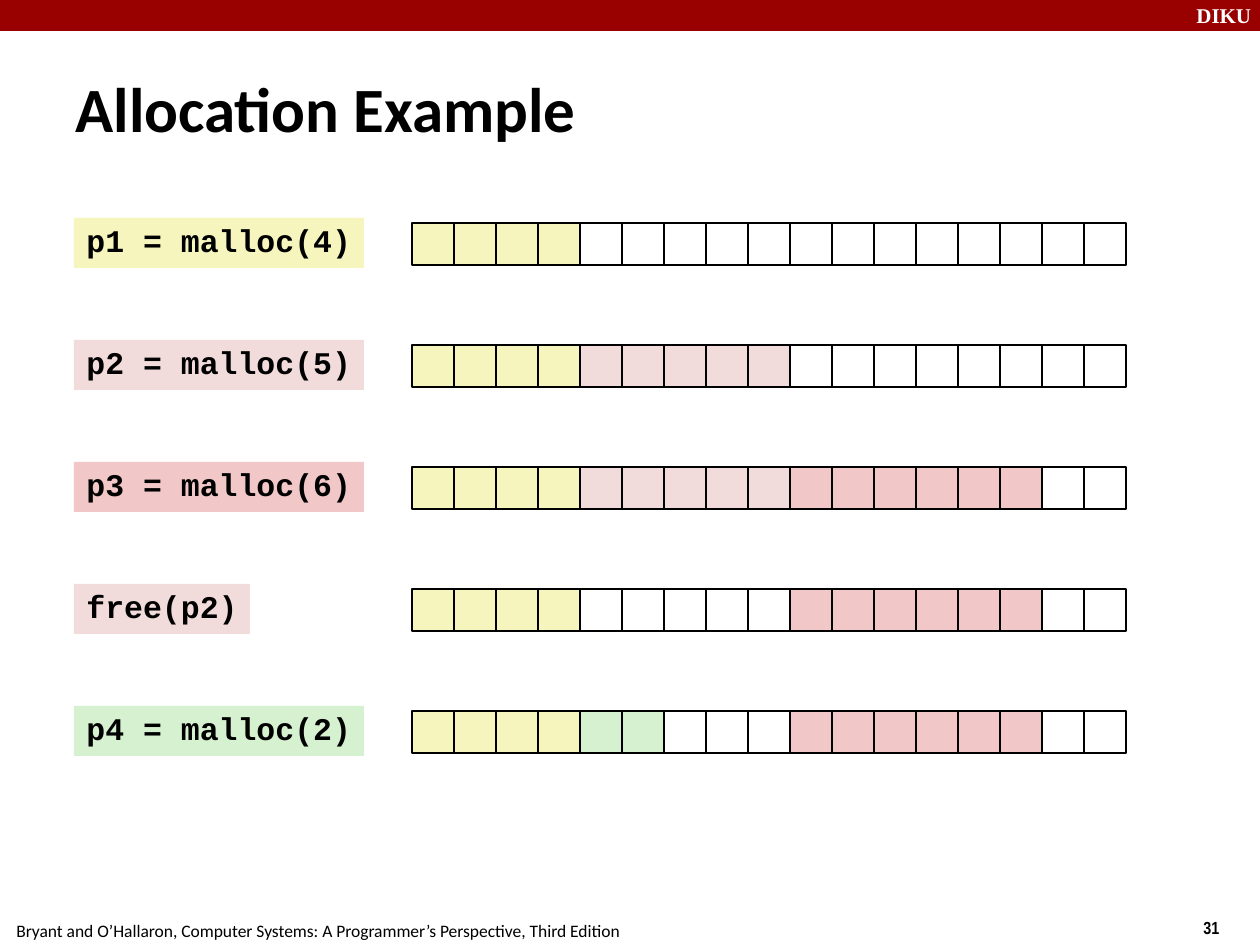
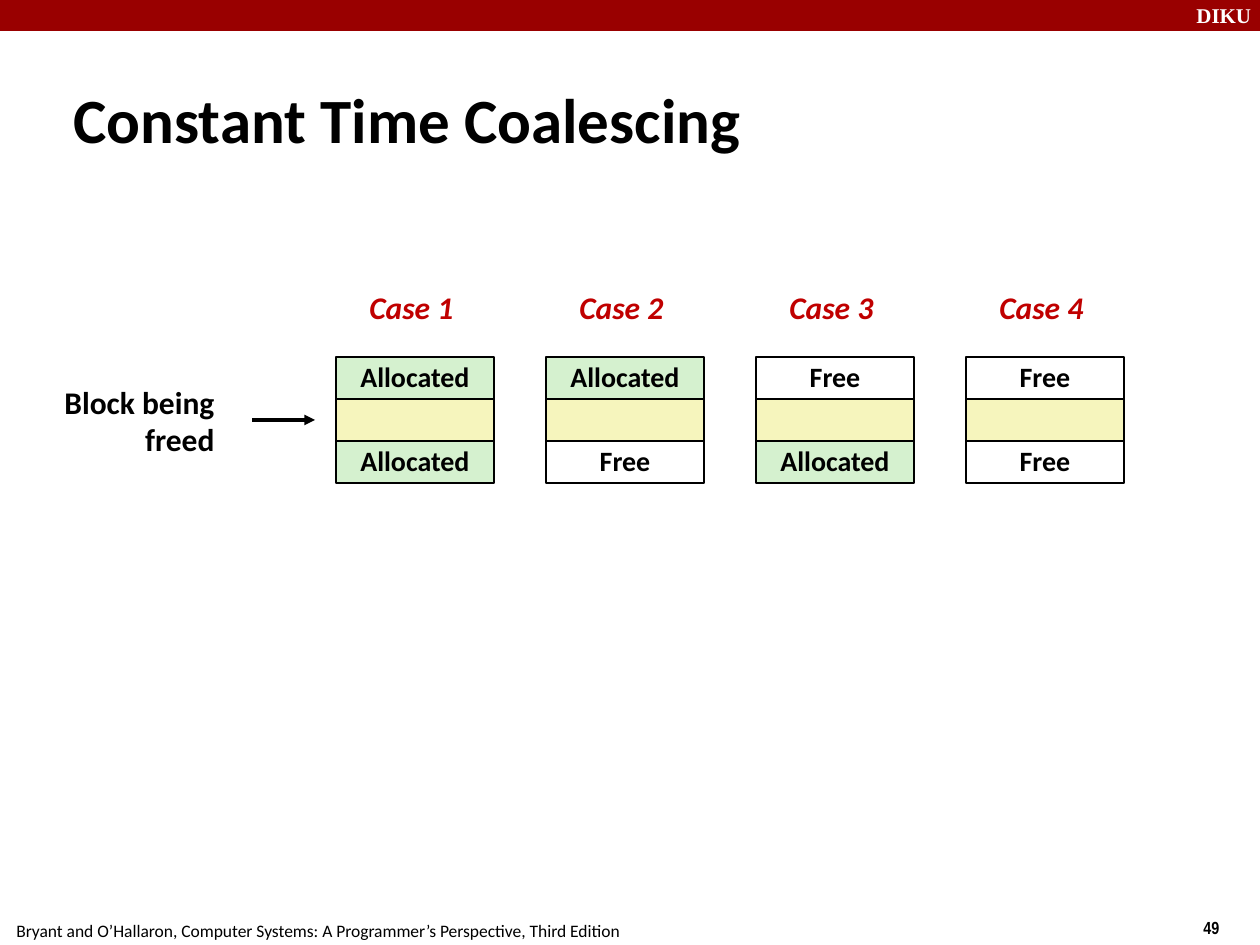
from lxml import etree
from pptx import Presentation
from pptx.dml.color import RGBColor
from pptx.enum.shapes import MSO_CONNECTOR as Connector, MSO_SHAPE as Shape
from pptx.enum.text import MSO_ANCHOR as Anchor, PP_ALIGN as Align
from pptx.oxml.ns import qn
from pptx.util import Pt

PX = 914400 / 126
BLACK, WHITE = "000000", "FFFFFF"
BAND_RED, CASE_RED = "990000", "C00000"
YELLOW, PALE_PINK, PINK, GREEN = "F6F5BD", "F2DCDB", "F1C7C7", "D5F1CF"
BLOCK = 42
BAND_LABEL = "DIKU"
FOOTER = ("Bryant and O’Hallaron, Computer Systems: "
          "A Programmer’s Perspective, Third Edition")

ALLOCATIONS = [
    ("p1 = malloc(4)", 290, YELLOW, [(YELLOW, 4), (WHITE, 13)]),
    ("p2 = malloc(5)", 290, PALE_PINK,
     [(YELLOW, 4), (PALE_PINK, 5), (WHITE, 8)]),
    ("p3 = malloc(6)", 290, PINK,
     [(YELLOW, 4), (PALE_PINK, 5), (PINK, 6), (WHITE, 2)]),
    ("free(p2)", 176, PALE_PINK,
     [(YELLOW, 4), (WHITE, 5), (PINK, 6), (WHITE, 2)]),
    ("p4 = malloc(2)", 290, GREEN,
     [(YELLOW, 4), (GREEN, 2), (WHITE, 3), (PINK, 6), (WHITE, 2)]),
]
CASES = [("Allocated", "Allocated"), ("Allocated", "Free"),
         ("Free", "Allocated"), ("Free", "Free")]
STATE_FILLS = {"Allocated": GREEN, "Free": WHITE}


def px(*lengths):
    return [round(length * PX) for length in lengths]


def color(hex_code):
    return RGBColor.from_string(hex_code)


def write(shape, text, size, font="Calibri", ink=BLACK, bold=True,
          italic=False, align=Align.LEFT, anchor=Anchor.TOP, spacing=None,
          wrap=False):
    frame = shape.text_frame
    frame.text = text
    frame.word_wrap = wrap
    frame.vertical_anchor = anchor
    for paragraph in frame.paragraphs:
        paragraph.alignment = align
        paragraph.line_spacing = spacing
        for run in paragraph.runs:
            run.font.size = Pt(size)
            run.font.name = font
            run.font.bold = bold
            run.font.italic = italic
            run.font.color.rgb = color(ink)


def add_text(slide, box, text, size, **style):
    write(slide.shapes.add_textbox(*px(*box)), text, size, **style)


def add_rect(slide, box, fill, outlined=True):
    rect = slide.shapes.add_shape(Shape.RECTANGLE, *px(*box))
    rect.shadow.inherit = False
    rect.fill.solid()
    rect.fill.fore_color.rgb = color(fill)
    if outlined:
        rect.line.color.rgb = color(BLACK)
        rect.line.width = Pt(1)
    else:
        rect.line.fill.background()
    return rect


def add_arrow(slide, start, end):
    arrow = slide.shapes.add_connector(Connector.STRAIGHT, *px(*start, *end))
    arrow.line.color.rgb = color(BLACK)
    arrow.line.width = Pt(2)
    properties = arrow.line._get_or_add_ln()
    etree.SubElement(properties, qn("a:tailEnd"), type="triangle")
    etree.SubElement(properties.getparent(), qn("a:effectLst"))


def add_slide(deck, title, title_box, number):
    slide = deck.slides.add_slide(deck.slide_layouts[5])
    add_rect(slide, (0, 0, 1260, 31), BAND_RED, outlined=False)
    add_text(slide, (1184, -4, 84, 38), BAND_LABEL, 12,
             font="Times New Roman", ink=WHITE)
    add_text(slide, (1191, 911, 94, 37), str(number), 10,
             font="Arial Narrow", wrap=True)
    add_text(slide, (4, 914, 629, 34), FOOTER, 10, bold=False)
    heading = slide.shapes.title
    heading.left, heading.top, heading.width, heading.height = px(*title_box)
    write(heading, title, 36, anchor=Anchor.MIDDLE, wrap=True)
    return slide


def add_heap(slide, left, top, blocks):
    fills = [fill for fill, count in blocks for _ in range(count)]
    for index, fill in enumerate(fills):
        add_rect(slide, (left + index * BLOCK, top, BLOCK, BLOCK), fill)


def add_call(slide, box, call, fill):
    label = add_rect(slide, box, fill, outlined=False)
    write(label, call, 18, font="Courier New", spacing=0.94)


def add_case(slide, left, name, before, after):
    for row, state in enumerate((before, "", after)):
        block = add_rect(slide, (left, 357 + row * BLOCK, 158, BLOCK),
                         STATE_FILLS.get(state, YELLOW))
        if state:
            write(block, state, 16, align=Align.CENTER,
                  anchor=Anchor.MIDDLE, spacing=0.98)
    add_text(slide, (left + 21, 284, 130, 50), name, 18,
             ink=CASE_RED, italic=True, spacing=0.98, wrap=True)


def build_allocation(deck):
    slide = add_slide(deck, "Allocation Example", (63, 68, 891, 79), 31)
    for row, (call, width, fill, blocks) in enumerate(ALLOCATIONS):
        top = 218 + row * 122
        add_heap(slide, 412, top + 5, blocks)
        add_call(slide, (74, top, width, 50), call, fill)


def build_coalescing(deck):
    slide = add_slide(deck, "Constant Time Coalescing", (61, 79, 968, 79), 49)
    for index, (before, after) in enumerate(CASES):
        add_case(slide, 336 + index * 210, f"Case {index + 1}", before, after)
    add_text(slide, (52, 379, 175, 88), "Block being\nfreed", 18,
             align=Align.RIGHT, spacing=0.98)
    add_arrow(slide, (252, 420), (315, 420))


def main():
    deck = Presentation()
    deck.slide_width, deck.slide_height = px(1260, 945)
    build_allocation(deck)
    build_coalescing(deck)
    deck.save("out.pptx")


if __name__ == "__main__":
    main()
